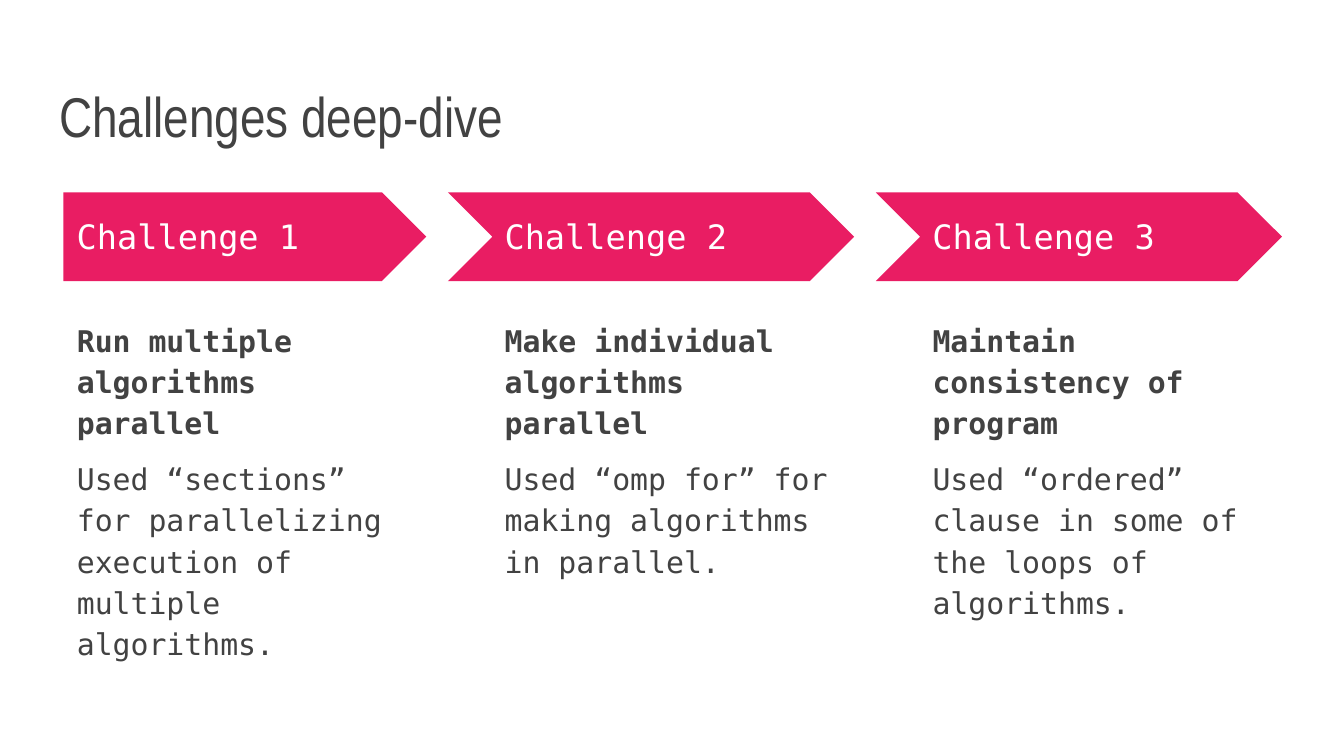
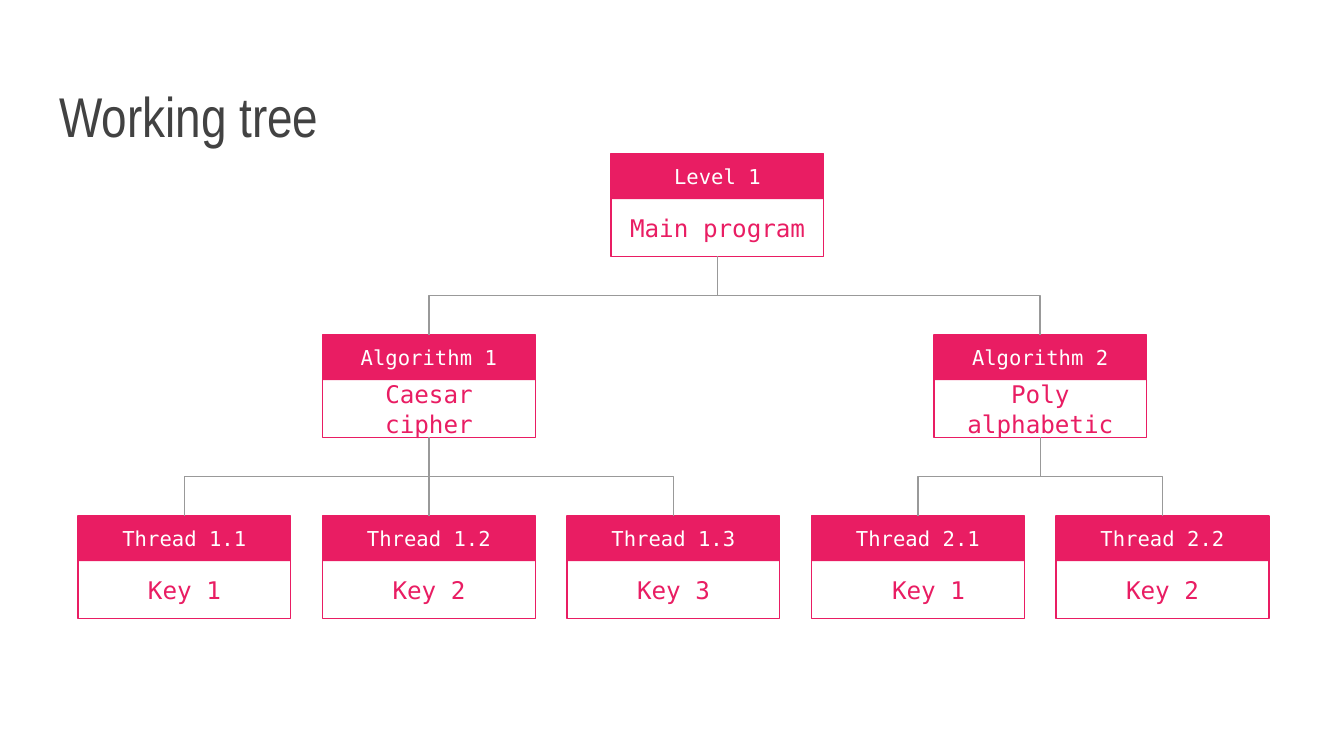
from pptx import Presentation
from pptx import util as u
from pptx.dml.color import RGBColor
from pptx.enum import shapes, text
from pptx.oxml import ns
from lxml import etree

Pt = u.Pt
PINK, WHITE, INK, GREY = "E91D63", "FFFFFF", "424242", "999999"
HEADING_FONT, BODY_FONT = "Arial Narrow", "DejaVu Sans Mono"


def colour(code):
    return RGBColor.from_string(code)


def write(shape, *lines, size, ink, font=BODY_FONT, align=text.PP_ALIGN.LEFT,
          anchor=text.MSO_ANCHOR.MIDDLE, first_bold=False, spacing=1.0, after=0, indent=0):
    frame = shape.text_frame
    frame.word_wrap = True
    frame.auto_size = text.MSO_AUTO_SIZE.NONE
    frame.vertical_anchor = anchor
    frame.margin_left = frame.margin_right = frame.margin_top = frame.margin_bottom = Pt(7.2)
    for index, line in enumerate(lines):
        paragraph = frame.paragraphs[0] if index == 0 else frame.add_paragraph()
        paragraph.alignment = align
        paragraph.line_spacing = spacing
        paragraph.space_before, paragraph.space_after = Pt(0), Pt(after)
        properties = paragraph._p.get_or_add_pPr()
        properties.set("marL", "0")
        properties.set("indent", str(Pt(indent)))
        etree.SubElement(properties, ns.qn("a:buNone"))
        run = paragraph.add_run()
        run.text = line
        run.font.name, run.font.size = font, Pt(size)
        run.font.bold = first_bold and index == 0
        run.font.color.rgb = colour(ink)


presentation = Presentation()
presentation.slide_width, presentation.slide_height = Pt(720), Pt(405)

COMPARISON, TITLE_ONLY = 4, 5
slides = []
for heading, layout in (("Challenges deep-dive", COMPARISON), ("Working tree", TITLE_ONLY)):
    slide = presentation.slides.add_slide(presentation.slide_layouts[layout])
    slide.background.fill.solid()
    slide.background.fill.fore_color.rgb = colour(WHITE)
    title = slide.shapes.title
    title.left, title.top, title.width, title.height = Pt(24.5), Pt(29.5), Pt(671), Pt(57.6)
    write(title, heading, size=30, ink=INK, font=HEADING_FONT, anchor=text.MSO_ANCHOR.BOTTOM)
    slides.append(slide)
challenge_slide, tree_slide = slides

challenges = [
    ("Run multiple algorithms parallel",
     "Used “sections” for parallelizing execution of multiple algorithms."),
    ("Make individual algorithms parallel",
     "Used “omp for” for making algorithms in parallel."),
    ("Maintain consistency of program",
     "Used “ordered” clause in some of the loops of algorithms."),
]
column_left, column_step, column_width, notch = 34, 229.2, 194.4, 23.2
bodies = list(challenge_slide.placeholders)[1:]
for unused in bodies[len(challenges):]:
    unused._element.getparent().remove(unused._element)

for index, (summary, detail) in enumerate(challenges):
    left = column_left + index * column_step
    kind = shapes.MSO_SHAPE.CHEVRON if index else shapes.MSO_SHAPE.PENTAGON
    lead = notch if index else 0
    arrow = challenge_slide.shapes.add_shape(
        kind, Pt(left - lead), Pt(103), Pt(column_width + lead), Pt(47.6))
    arrow.adjustments[0] = 0.5
    arrow.shadow.inherit = False
    arrow.fill.solid()
    arrow.fill.fore_color.rgb = colour(PINK)
    arrow.line.fill.background()
    label = challenge_slide.shapes.add_textbox(Pt(left), Pt(114.5), Pt(178), Pt(24.5))
    write(label, f"Challenge {index + 1}", size=18, ink=WHITE)
    body = bodies[index]
    body.left, body.top, body.width, body.height = Pt(left), Pt(162.7), Pt(column_width), Pt(209)
    write(body, summary, detail, size=16, ink=INK, anchor=text.MSO_ANCHOR.TOP,
          first_bold=True, spacing=1.15, after=8)

box_width, box_height, band_height = 114, 55, 24.3
tree_left, tree_top, across, down = 41.8, 82.4, 131, 97
nodes = [
    ("Level 1", "Main program", 2.18, 0, None),
    ("Algorithm 1", "Caesar cipher", 1, 1, "Level 1"),
    ("Algorithm 2", "Poly alphabetic", 3.5, 1, "Level 1"),
    ("Thread 1.1", "Key 1", 0, 2, "Algorithm 1"),
    ("Thread 1.2", "Key 2", 1, 2, "Algorithm 1"),
    ("Thread 1.3", "Key 3", 2, 2, "Algorithm 1"),
    ("Thread 2.1", "Key 1", 3, 2, "Algorithm 2"),
    ("Thread 2.2", "Key 2", 4, 2, "Algorithm 2"),
]
centres = {}
for name, content, column, level, parent in nodes:
    left, top = tree_left + column * across, tree_top + level * down
    centres[name] = left + box_width / 2

    for height, filled in ((box_height, False), (band_height, True)):
        box = tree_slide.shapes.add_shape(
            shapes.MSO_SHAPE.RECTANGLE, Pt(left), Pt(top), Pt(box_width), Pt(height))
        box.shadow.inherit = False
        if filled:
            box.fill.solid()
            box.fill.fore_color.rgb = colour(PINK)
            box.line.fill.background()
        else:
            box.fill.background()
            box.line.color.rgb = colour(PINK)
            box.line.width = Pt(0.75)

    indented = name == "Thread 2.1"
    content_align = text.PP_ALIGN.LEFT if indented else text.PP_ALIGN.CENTER
    for line, offset, size, ink, align, indent in (
            (name, 4.6, 11, WHITE, text.PP_ALIGN.CENTER, 0),
            (content, 32, 13, PINK, content_align, 36 if indented else 0)):
        label = tree_slide.shapes.add_textbox(Pt(left), Pt(top + offset), Pt(box_width), Pt(15.1))
        write(label, line, size=size, ink=ink, align=align, indent=indent)

    if parent:
        start, end = centres[parent], centres[name]
        drop = down - box_height
        run_across = end - start
        if abs(run_across) < 0.1:
            connector = tree_slide.shapes.add_connector(
                shapes.MSO_CONNECTOR.STRAIGHT, Pt(start), Pt(top - drop), Pt(end), Pt(top))
        else:
            side = 1 if run_across > 0 else -1
            middle_x, middle_y = (start + end) / 2, top - drop / 2
            half = abs(run_across) / 2
            connector = tree_slide.shapes.add_connector(
                shapes.MSO_CONNECTOR.ELBOW,
                Pt(middle_x + side * drop / 2), Pt(middle_y - half),
                Pt(middle_x - side * drop / 2), Pt(middle_y + half))
            turn = 270 if side > 0 else 90
            connector._element.spPr.find(ns.qn("a:xfrm")).set("rot", str(turn * 60000))
        connector.line.color.rgb = colour(GREY)
        connector.line.width = Pt(0.75)
        etree.SubElement(connector._element.spPr, ns.qn("a:effectLst"))

presentation.save("out.pptx")
